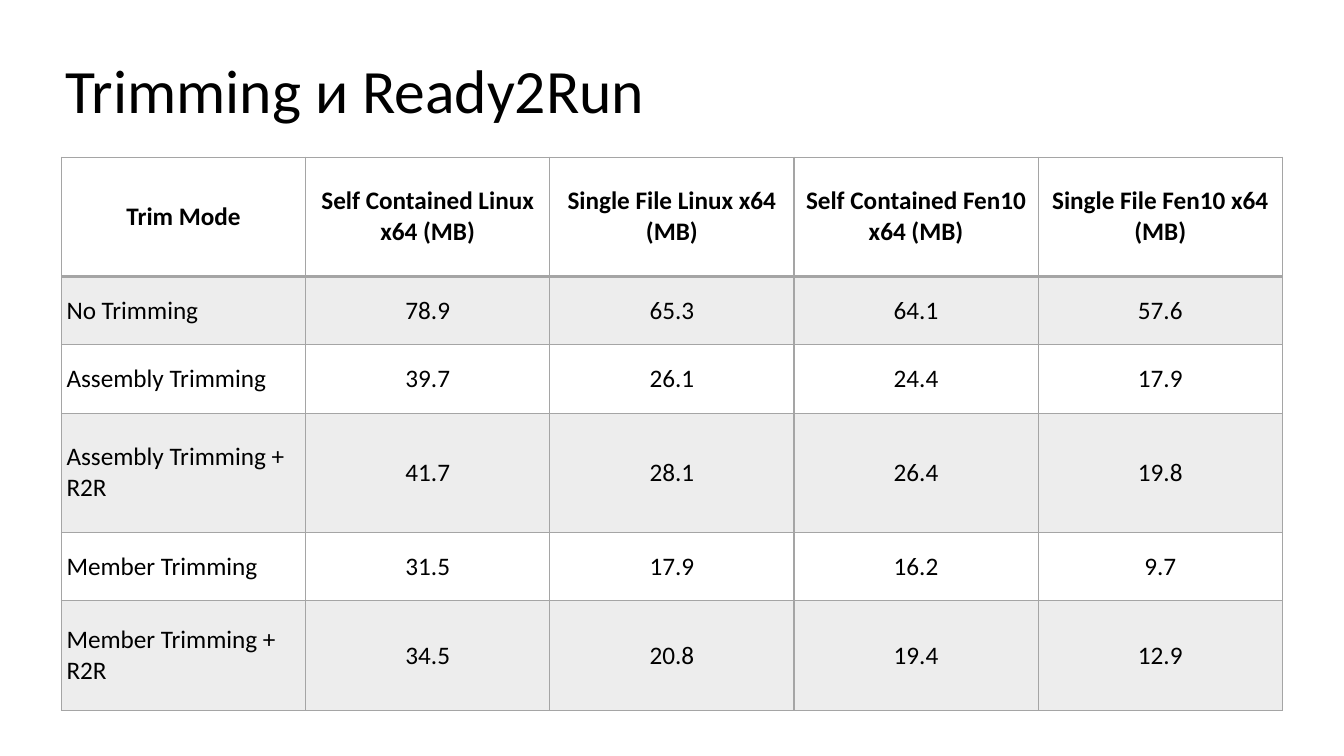
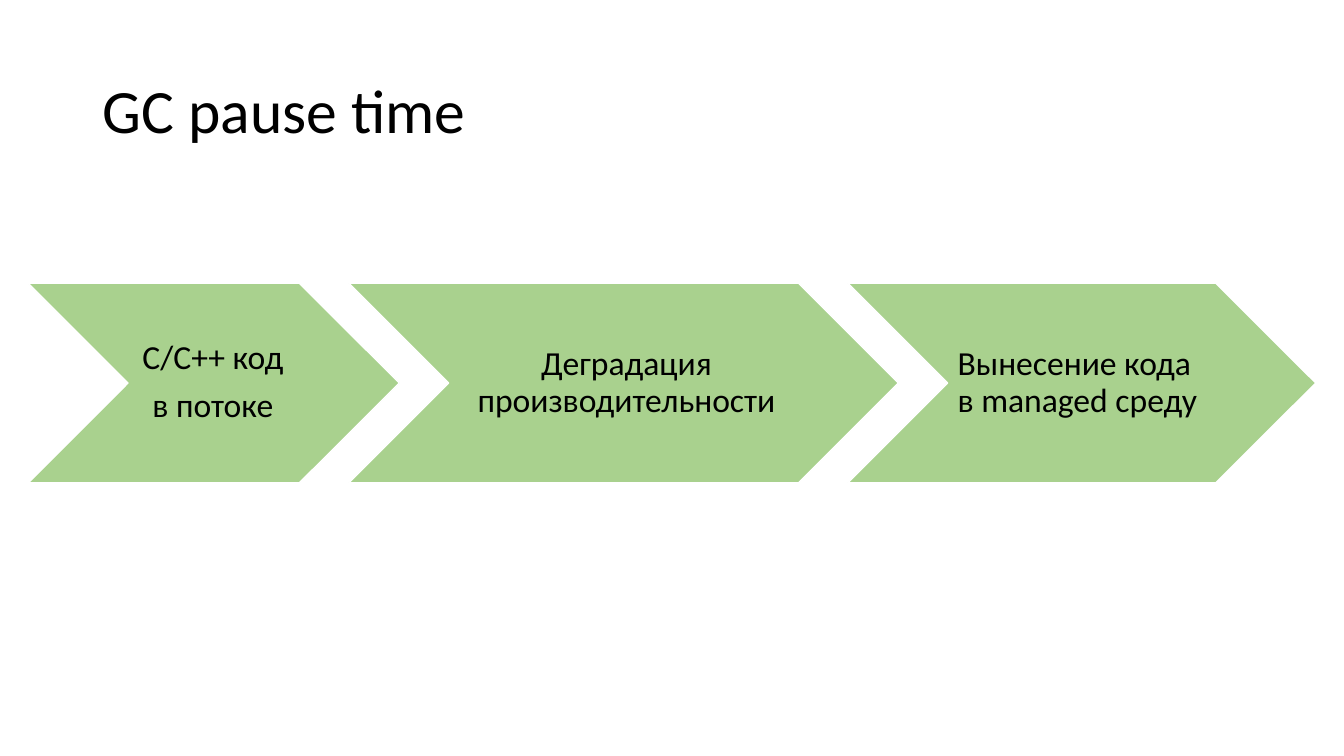
"""Build two slides: a trimming size table and a GC pause time chevron process."""
from lxml import etree
from pptx import Presentation
from pptx.dml.color import RGBColor
from pptx.enum.shapes import MSO_SHAPE
from pptx.enum.text import MSO_ANCHOR, MSO_AUTO_SIZE, PP_ALIGN
from pptx.oxml.ns import qn
from pptx.util import Inches, Pt

CHEVRON = MSO_SHAPE.CHEVRON
MIDDLE = MSO_ANCHOR.MIDDLE
LEFT, CENTER = PP_ALIGN.LEFT, PP_ALIGN.CENTER
FONT = "Calibri"
COLORS = {
    "text": "000000",
    "border": "A5A5A5",
    "band": "EDEDED",
    "chevron": "A9D18E",
    "outline": "FFFFFF",
}


def add_run(p, text, size, bold=False):
    r = p.add_run()
    r.text = text
    r.font.name = FONT
    r.font.size = Pt(size)
    r.font.bold = bold
    r.font.color.rgb = RGBColor.from_string(COLORS["text"])


def add_titled_slide(prs, text, left, top):
    s = prs.slides.add_slide(prs.slide_layouts[5])
    title = s.shapes.title
    title.left, title.top = Inches(left), Inches(top)
    title.width, title.height = Inches(11.5), Inches(1.45)
    tf = title.text_frame
    tf.auto_size = MSO_AUTO_SIZE.NONE
    tf.vertical_anchor = MIDDLE
    p = tf.paragraphs[0]
    p.alignment = LEFT
    p.line_spacing = 0.9
    add_run(p, text, 44)
    return s


prs = Presentation()
prs.slide_width, prs.slide_height = Inches(13.33), Inches(7.5)

s = add_titled_slide(prs, "Trimming и Ready2Run", 0.55, 0.2)
rows = [
    ["Trim Mode", "Self Contained Linux x64 (MB)", "Single File Linux x64 (MB)",
     "Self Contained Fen10 x64 (MB)", "Single File Fen10 x64 (MB)"],
    ["No Trimming", "78.9", "65.3", "64.1", "57.6"],
    ["Assembly Trimming", "39.7", "26.1", "24.4", "17.9"],
    ["Assembly Trimming + R2R", "41.7", "28.1", "26.4", "19.8"],
    ["Member Trimming", "31.5", "17.9", "16.2", "9.7"],
    ["Member Trimming + R2R", "34.5", "20.8", "19.4", "12.9"],
]
row_heights = [1.18, 0.68, 0.68, 1.18, 0.68, 1.09]
table = s.shapes.add_table(len(rows), len(rows[0]), Inches(0.61), Inches(1.56),
                           Inches(12.11), Inches(sum(row_heights))).table
table.first_row = table.horz_banding = False
for row, height in zip(table.rows, row_heights):
    row.height = Inches(height)

for i, row in enumerate(rows):
    for j, text in enumerate(row):
        cell = table.cell(i, j)
        cell.vertical_anchor = MIDDLE
        cell.margin_left = cell.margin_right = Inches(0.05)
        cell.margin_top = cell.margin_bottom = Inches(0.05)
        if i % 2:
            cell.fill.solid()
            cell.fill.fore_color.rgb = RGBColor.from_string(COLORS["band"])
        else:
            cell.fill.background()
        p = cell.text_frame.paragraphs[0]
        p.alignment = LEFT if i and j == 0 else CENTER
        add_run(p, text, 18, bold=i == 0)
        tcPr = cell._tc.get_or_add_tcPr()
        for k, side in enumerate(("lnL", "lnR", "lnT", "lnB")):
            under_header = (i, side) in ((0, "lnB"), (1, "lnT"))
            ln = etree.Element(qn(f"a:{side}"), w=str(Pt(2.25 if under_header else 1)))
            fill = etree.SubElement(ln, qn("a:solidFill"))
            etree.SubElement(fill, qn("a:srgbClr"), val=COLORS["border"])
            tcPr.insert(k, ln)

s = add_titled_slide(prs, "GC pause time", 0.92, 0.4)
steps = [
    (3.68, CENTER, ["С/С++ код ", "в потоке "]),
    (5.45, CENTER, ["Деградация производительности"]),
    (4.64, LEFT, ["Вынесение кода в managed среду"]),
]
left, overlap = 0.28, 0.5
for width, alignment, lines in steps:
    sp = s.shapes.add_shape(CHEVRON, Inches(left), Inches(2.81), Inches(width), Inches(1.98))
    sp.shadow.inherit = False
    sp.fill.solid()
    sp.fill.fore_color.rgb = RGBColor.from_string(COLORS["chevron"])
    sp.line.color.rgb = RGBColor.from_string(COLORS["outline"])
    sp.line.width = Pt(1)
    tf = sp.text_frame
    tf.word_wrap = True
    tf.vertical_anchor = MIDDLE
    tf.margin_left = Inches(0.1)
    tf.margin_right = tf.margin_top = tf.margin_bottom = Inches(0.04)
    for n, line in enumerate(lines):
        p = tf.add_paragraph() if n else tf.paragraphs[0]
        p.alignment = alignment
        p.line_spacing = 0.9
        p.space_after = Pt(8.4)
        add_run(p, line, 24)
    left += width - overlap

prs.save("out.pptx")
